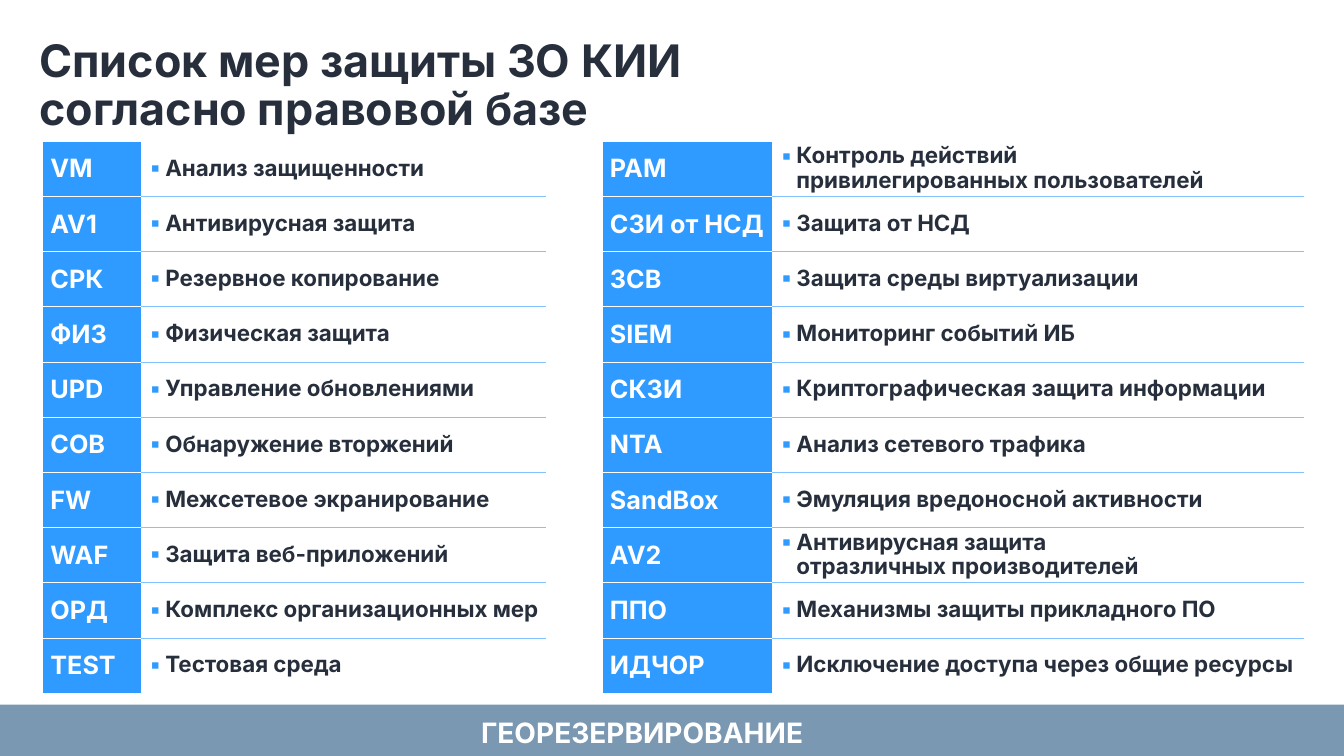
from dataclasses import dataclass

from lxml import etree
from pptx import Presentation
from pptx.dml import color
from pptx.enum import shapes, text
from pptx.oxml import ns
from pptx.util import Inches, Pt


@dataclass(frozen=True)
class Theme:
    font: str = "Inter"
    blue: str = "2F9AFF"
    rule: str = "82C2FF"
    dark: str = "272F3D"
    white: str = "FFFFFF"
    band: str = "7B98B3"
    title_size: int = 32
    footer_size: int = 20
    code_size: int = 18
    measure_size: int = 16


theme = Theme()


def write(para, wording, size, ink):
    """Add bold runs to a paragraph, with a line break at each newline."""
    for number, line in enumerate(wording.split("\n")):
        if number:
            para.add_line_break()
        span = para.add_run()
        span.text = line
        span.font.name = theme.font
        span.font.size = Pt(size)
        span.font.bold = True
        span.font.color.rgb = color.RGBColor.from_string(ink)


def add_xml(parent, tag, **attributes):
    return etree.SubElement(parent, ns.qn(tag), attributes)


deck = Presentation()
deck.slide_width, deck.slide_height = Inches(13.33), Inches(7.5)
page = deck.slides.add_slide(deck.slide_layouts[5])

# Title
title = page.shapes.title
title.left, title.top = Inches(0.39), Inches(0.36)
title.width, title.height = Inches(6.53), Inches(1.02)
frame = title.text_frame
frame.margin_left = frame.margin_right = 0
frame.margin_top = frame.margin_bottom = Inches(0.02)
frame.word_wrap = False
frame.auto_size = text.MSO_AUTO_SIZE.SHAPE_TO_FIT_TEXT
frame.vertical_anchor = text.MSO_ANCHOR.TOP
para = frame.paragraphs[0]
para.alignment = text.PP_ALIGN.LEFT
para.line_spacing = 0.9
write(para, "Список мер защиты ЗО КИИ\nсогласно правовой базе", theme.title_size, theme.dark)

# Tables: left edge, column widths, rows of code and measure
tables = [
    (0.42, (0.98, 4.02, 0.03), [
        ("VM", "Анализ защищенности"),
        ("AV1", "Антивирусная защита"),
        ("СРК", "Резервное копирование"),
        ("ФИЗ", "Физическая защита"),
        ("UPD", "Управление обновлениями"),
        ("СОВ", "Обнаружение вторжений"),
        ("FW", "Межсетевое экранирование"),
        ("WAF", "Защита веб-приложений"),
        ("ОРД", "Комплекс организационных мер"),
        ("TEST", "Тестовая среда"),
    ]),
    (5.97, (1.69, 5.28, 0.05), [
        ("PAM", "Контроль действий\nпривилегированных пользователей"),
        ("СЗИ от НСД", "Защита от НСД"),
        ("ЗСВ", "Защита среды виртуализации"),
        ("SIEM", "Мониторинг событий ИБ"),
        ("СКЗИ", "Криптографическая защита информации"),
        ("NTA", "Анализ сетевого трафика"),
        ("SandBox", "Эмуляция вредоносной активности"),
        ("AV2", "Антивирусная защита\nотразличных производителей"),
        ("ППО", "Механизмы защиты прикладного ПО"),
        ("ИДЧОР", "Исключение доступа через общие ресурсы"),
    ]),
]

for left, widths, measures in tables:
    table = page.shapes.add_table(
        len(measures), len(widths), Inches(left), Inches(1.4),
        Inches(sum(widths)), Inches(5.48)).table
    table.first_row = table.horz_banding = False
    for column, width in zip(table.columns, widths):
        column.width = Inches(width)

    for row, (code, measure) in enumerate(measures):
        for cell in table.rows[row].cells:
            cell.margin_left = cell.margin_right = cell.margin_top = cell.margin_bottom = 0
            cell.vertical_anchor = text.MSO_ANCHOR.MIDDLE
            cell.fill.background()
        code_cell, measure_cell = table.cell(row, 0), table.cell(row, 1)

        # Horizontal rules between rows
        sides = ["a:lnT"] * (row > 0) + ["a:lnB"] * (row < len(measures) - 1)
        for cell, ink in ((code_cell, theme.white), (measure_cell, theme.rule)):
            cell.margin_left = Inches(0.08)
            properties = cell._tc.get_or_add_tcPr()
            for place, side in enumerate(sides):
                line = add_xml(properties, side, w=str(Pt(0.5)))
                add_xml(add_xml(line, "a:solidFill"), "a:srgbClr", val=ink)
                properties.insert(place, line)

        # Code on blue
        code_cell.fill.solid()
        code_cell.fill.fore_color.rgb = color.RGBColor.from_string(theme.blue)
        write(code_cell.text_frame.paragraphs[0], code, theme.code_size, theme.white)

        # Bulleted measure
        para = measure_cell.text_frame.paragraphs[0]
        para.line_spacing = 0.9
        bullet = para._p.get_or_add_pPr()
        bullet.set("marL", str(Inches(0.16)))
        bullet.set("indent", str(-Inches(0.16)))
        add_xml(add_xml(bullet, "a:buClr"), "a:srgbClr", val=theme.blue)
        add_xml(bullet, "a:buFont", typeface=theme.font)
        add_xml(bullet, "a:buChar", char="▪")
        write(para, measure, theme.measure_size, theme.dark)

# Footer band and caption
band = page.shapes.add_shape(
    shapes.MSO_SHAPE.RECTANGLE, 0, Inches(6.99), deck.slide_width, Inches(0.51))
band.shadow.inherit = False
band.fill.solid()
band.fill.fore_color.rgb = color.RGBColor.from_string(theme.band)
band.line.fill.background()

caption = page.shapes.add_textbox(Inches(1.15), Inches(7.05), Inches(10.44), Inches(0.44))
caption.text_frame.word_wrap = True
caption.text_frame.auto_size = text.MSO_AUTO_SIZE.SHAPE_TO_FIT_TEXT
para = caption.text_frame.paragraphs[0]
para.alignment = text.PP_ALIGN.CENTER
write(para, "ГЕОРЕЗЕРВИРОВАНИЕ", theme.footer_size, theme.white)

deck.save("out.pptx")
